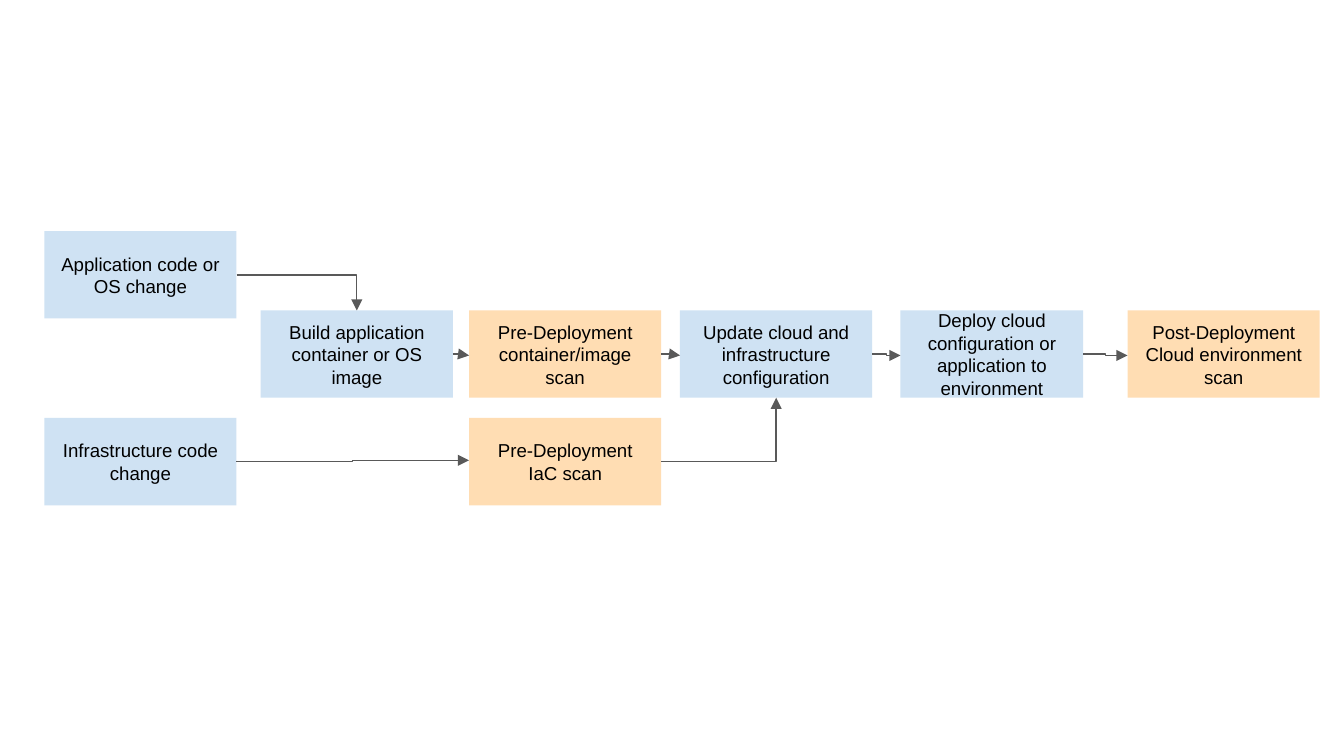
import pptx
import pptx.dml.color
import pptx.enum.shapes
import pptx.enum.text
import pptx.oxml
import pptx.oxml.ns
import pptx.util
from pptx.util import Inches

COLORS = {"step": "CFE2F3", "scan": "FFDDB3", "text": "000000", "arrow": "595959"}
PAGE_WIDTH = 10
PAGE_HEIGHT = PAGE_WIDTH * 9 / 16
BOX_WIDTH, BOX_HEIGHT = 1.43, 0.65
TOP_ROW, MAIN_ROW, LOW_ROW = 1.72, 2.31, 3.11
# Connection sites of a rectangle
TOP, LEFT, BOTTOM, RIGHT = range(4)


def color(name):
    return pptx.dml.color.RGBColor.from_string(COLORS[name])


def apply(target, values):
    for name, value in values.items():
        setattr(target, name, value)


class FlowPage:
    """Holds the diagram style and the page being drawn."""

    font = {"name": "Arial", "size": pptx.util.Pt(10)}
    frame = {
        "word_wrap": True,
        "vertical_anchor": pptx.enum.text.MSO_ANCHOR.MIDDLE,
        **{f"margin_{side}": Inches(0.1) for side in ("left", "top", "right", "bottom")},
    }

    def __init__(self, page):
        self.page = page

    def box(self, text, left, top, fill="step", width=BOX_WIDTH):
        box = self.page.shapes.add_shape(
            pptx.enum.shapes.MSO_SHAPE.RECTANGLE,
            Inches(left), Inches(top), Inches(width), Inches(BOX_HEIGHT))
        box.shadow.inherit = False
        box.fill.solid()
        box.fill.fore_color.rgb = color(fill)
        box.line.fill.background()
        apply(box.text_frame, self.frame)
        para = box.text_frame.paragraphs[0]
        para.alignment = pptx.enum.text.PP_ALIGN.CENTER
        span = para.add_run()
        span.text = text
        apply(span.font, self.font)
        span.font.color.rgb = color("text")
        return box

    def arrow(self, source, target, site=LEFT, jog=0):
        """Join the right of source to a site of target; jog shifts the end down."""
        arrow = self.page.shapes.add_connector(
            pptx.enum.shapes.MSO_CONNECTOR.ELBOW, 0, 0, 0, 0)
        arrow.begin_connect(source, RIGHT)
        arrow.end_connect(target, site)
        if jog:
            arrow.end_y = arrow.end_y + Inches(jog)
        arrow.line.color.rgb = color("arrow")
        arrow.line.width = pptx.util.Pt(0.75)
        properties = arrow._element.spPr
        if site != LEFT:
            properties.find(pptx.oxml.ns.qn("a:prstGeom")).set("prst", "bentConnector2")
        nsdecls = pptx.oxml.ns.nsdecls("a")
        arrow.line._get_or_add_ln().append(
            pptx.oxml.parse_xml(f'<a:tailEnd {nsdecls} type="triangle"/>'))
        properties.append(pptx.oxml.parse_xml(f"<a:effectLst {nsdecls}/>"))


def main():
    deck = pptx.Presentation()
    apply(deck, {"slide_width": Inches(PAGE_WIDTH), "slide_height": Inches(PAGE_HEIGHT)})
    flow = FlowPage(deck.slides.add_slide(deck.slide_layouts[6]))

    app_change = flow.box("Application code or OS change", 0.33, TOP_ROW)
    infra_change = flow.box("Infrastructure code change", 0.33, LOW_ROW)
    build = flow.box("Build application container or OS image", 1.94, MAIN_ROW)
    image_scan = flow.box("Pre-Deployment container/image scan", 3.49, MAIN_ROW, "scan")
    iac_scan = flow.box("Pre-Deployment IaC scan", 3.49, LOW_ROW, "scan")
    update = flow.box("Update cloud and infrastructure configuration", 5.06, MAIN_ROW)
    deploy = flow.box("Deploy cloud configuration or application to environment",
                      6.7, MAIN_ROW, width=1.36)
    cloud_scan = flow.box("Post-Deployment Cloud environment scan", 8.39, MAIN_ROW, "scan")

    flow.arrow(app_change, build, TOP)
    flow.arrow(infra_change, iac_scan, jog=-0.01)
    flow.arrow(iac_scan, update, BOTTOM)
    main_row = [build, image_scan, update, deploy, cloud_scan]
    for source, target in zip(main_row, main_row[1:]):
        flow.arrow(source, target, jog=0.01)

    deck.save("out.pptx")


if __name__ == "__main__":
    main()
